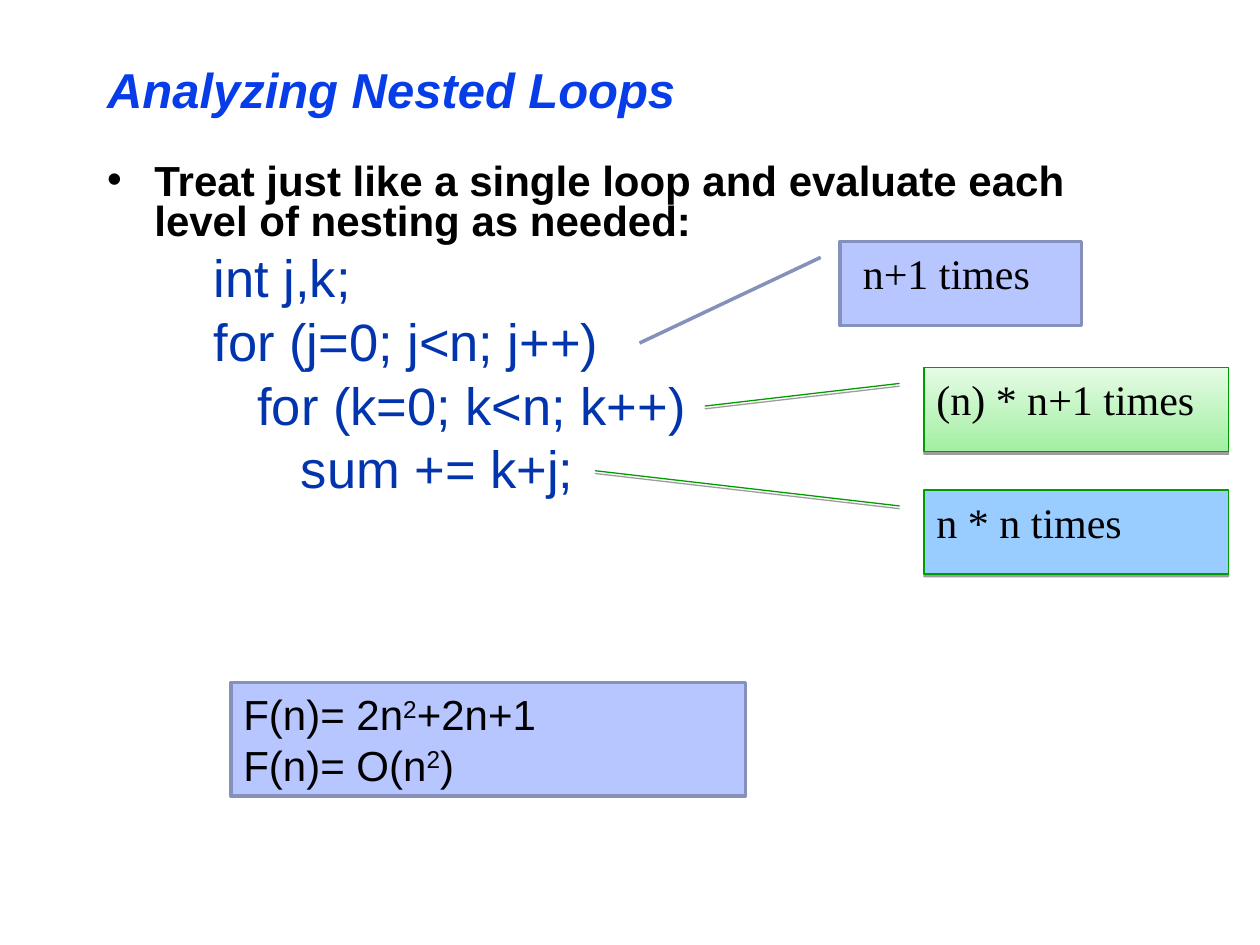
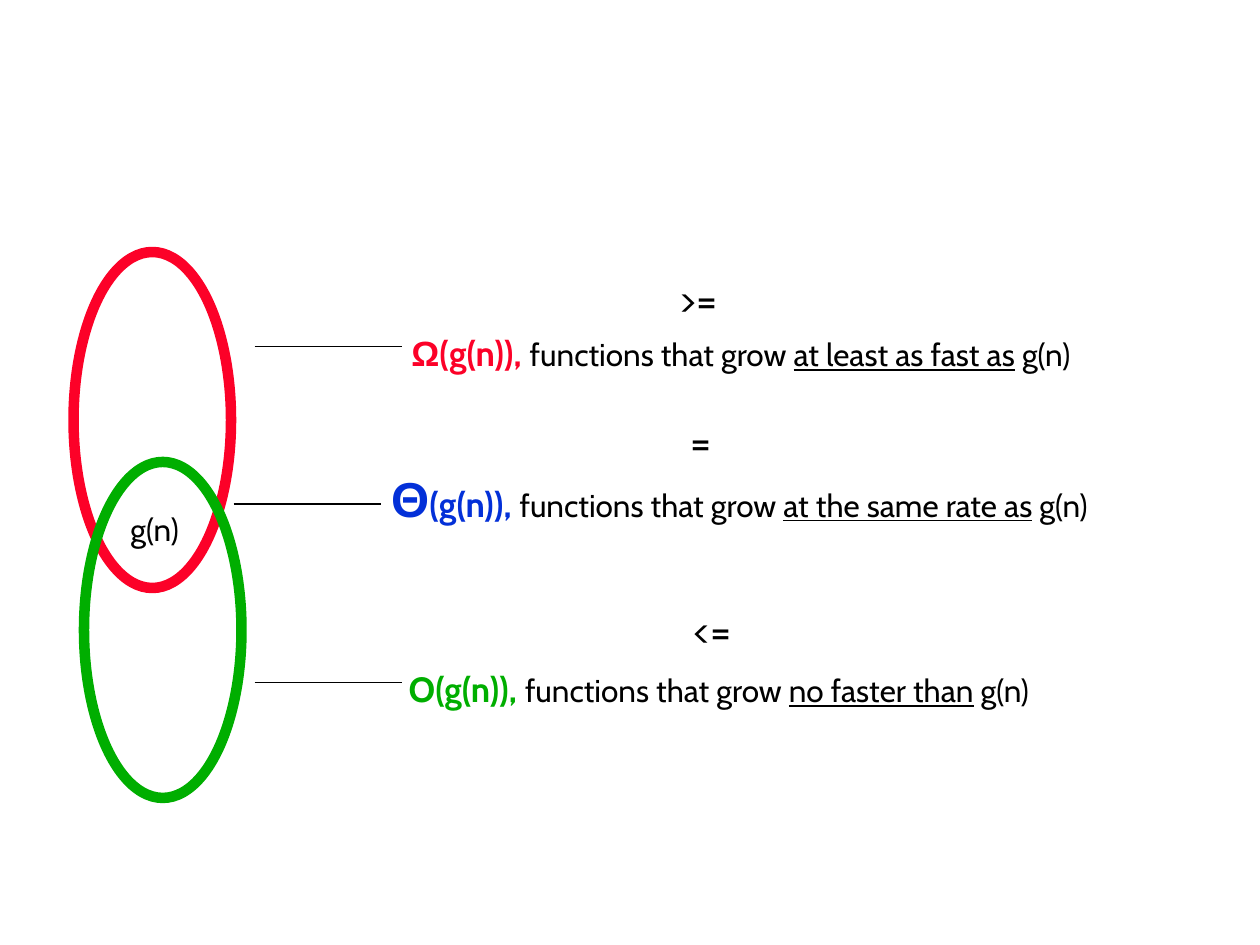
import pptx
import pptx.dml.color
import pptx.enum.shapes
import pptx.enum.text
import pptx.oxml
import pptx.oxml.ns
import pptx.util

Pt = pptx.util.Pt
Shape = pptx.enum.shapes.MSO_SHAPE
Anchor = pptx.enum.text.MSO_ANCHOR
Align = pptx.enum.text.PP_ALIGN
A = 'xmlns:a="http://schemas.openxmlformats.org/drawingml/2006/main"'

COLORS = {
    "black": "000000", "title": "063DE8", "code": "0235AD",
    "lilac": "B7C6FE", "lilac edge": "8691BB", "sky": "99CCFF",
    "green edge": "009D00", "mint": "A2EFA2", "pale mint": "E6FBE6",
    "red": "FC0128", "green": "00AE00", "blue": "0330D8",
}

# Text formats
TITLE = dict(name="Arial", size=28, color="title", bold=True, italic=True)
LEAD = dict(name="Arial", size=24, color="black", bold=True)
CODE = dict(name="Arial", size=30, color="code", bold=False)
COUNT = dict(name="Times New Roman", size=24, color="black")
RESULT = dict(name="Arial", size=24, color="black")
POWER = dict(RESULT, raised=True)
PLAIN = dict(name="Cabin", size=18, color="black")
UNDERLINED = dict(PLAIN, underline=True)
SIGN = dict(PLAIN, size=24)

# Content of the nested loops slide
HEADING = "Analyzing Nested Loops"
ADVICE = "Treat just like a single loop and evaluate each level of nesting as needed:"
CODE_LINES = [
    "   int j,k;",
    "   for (j=0; j<n; j++)",
    "      for (k=0; k<n; k++)",
    "         sum += k+j;",
]
# text, left, top, width, fill, edge, edge width, shadowed, pointer end (y, x)
CALLOUTS = [
    (" n+1 times", 480, 138, 138, ["lilac"], "lilac edge", 2, False, (1.21, -0.83)),
    ("(n) * n+1 times", 528, 210, 174, ["mint", "pale mint"], "green edge", 0.75, True, (0.46, -0.72)),
    ("n * n times", 528, 280, 174, ["sky"], "green edge", 0.75, True, (-0.23, -1.08)),
]
CALLOUT_HEIGHT = 48
POINTER_START = (0.19, -0.08)
RESULTS = [
    [("F(n)= 2n", RESULT), ("2", POWER), ("+2n+1", RESULT)],
    [("F(n)= O(n", RESULT), ("2", POWER), (")", RESULT)],
]

# Content of the growth classes slide
RINGS = [("red", 42, 144), ("green", 48, 264)]
RING_SIZE = (90, 192)
# symbol, symbol font, symbol size, color, phrase, text box, line start, sign, sign box
CLASSES = [
    ("Ω", "Arial", 20, "red", "at least as fast as", (228, 186, 451, 32),
     (145.5, 198), ">=", (381.5, 152.5, 42, 36)),
    ("Θ", "Arial", 28, "blue", "at the same rate as", (216.5, 264, 474, 41),
     (133.5, 288), "=", (387.5, 234, 28, 36)),
    ("O", "Cabin", 20, "green", "no faster than", (226.5, 378, 426, 32),
     (145.5, 390), "<=", (389, 342, 42, 36)),
]
LEADER_LENGTH = 84


def rgb(color):
    return pptx.dml.color.RGBColor.from_string(COLORS[color])


def add_spans(para, spans):
    for text, style in spans:
        span = para.add_run()
        span.text = text
        for key, value in style.items():
            if key == "color":
                span.font.color.rgb = rgb(value)
            elif key == "raised":
                span._r.get_or_add_rPr().set("baseline", "30000")
            else:
                setattr(span.font, key, Pt(value) if key == "size" else value)


def fill_text(shape, paras, anchor=Anchor.TOP):
    frame = shape.text_frame
    settings = dict(
        word_wrap=True, vertical_anchor=anchor,
        auto_size=pptx.enum.text.MSO_AUTO_SIZE.NONE,
        margin_left=Pt(7.2), margin_right=Pt(7.2),
        margin_top=Pt(3.6), margin_bottom=Pt(3.6))
    for key, value in settings.items():
        setattr(frame, key, value)
    for index, spans in enumerate(paras):
        para = frame.add_paragraph() if index else frame.paragraphs[0]
        para.alignment = Align.LEFT
        add_spans(para, spans)
    return frame.paragraphs


def place(shape, *box):
    for key, value in zip(("left", "top", "width", "height"), box):
        setattr(shape, key, Pt(value))


def add_text(page, box, spans):
    fill_text(page.shapes.add_textbox(*map(Pt, box)), [spans])


def add_figure(page, kind, box, fills, edge, edge_width):
    shape = page.shapes.add_shape(kind, *map(Pt, box))
    shape.shadow.inherit = False
    shape.line.color.rgb = rgb(edge)
    shape.line.width = Pt(edge_width)
    if len(fills) > 1:
        shape.fill.gradient()
        shape.fill.gradient_angle = 90
        for stop, color in zip(shape.fill.gradient_stops, fills):
            stop.color.rgb = rgb(color)
    elif fills:
        shape.fill.solid()
        shape.fill.fore_color.rgb = rgb(fills[0])
    else:
        shape.fill.background()
    return shape


def add_shadow(shape):
    effects = shape._element.spPr.find(pptx.oxml.ns.qn("a:effectLst"))
    effects.append(pptx.oxml.parse_xml(
        f'<a:outerShdw {A} blurRad="0" dist="{Pt(1.6)}" dir="5400000" rotWithShape="0">'
        f'<a:srgbClr val="{COLORS["black"]}"><a:alpha val="38000"/></a:srgbClr></a:outerShdw>'))


def set_bullet(para, left, hanging, bullet):
    properties = para._p.get_or_add_pPr()
    properties.set("marL", str(Pt(left)))
    properties.set("indent", str(-Pt(hanging)))
    for element in bullet:
        properties.append(pptx.oxml.parse_xml(element))


def build_loops(deck):
    page = deck.slides.add_slide(deck.slide_layouts[1])
    title, body = page.placeholders
    place(title, 54, 24, 612, 54)
    fill_text(title, [[(HEADING, TITLE)]], Anchor.MIDDLE)

    # Advice and code
    place(body, 54, 90, 618, 432)
    lines = [[(ADVICE, LEAD)]] + [[(line, CODE)] for line in CODE_LINES]
    for index, para in enumerate(fill_text(body, lines)):
        para.line_spacing = 0.8
        para.space_before = Pt(7.5 if index else 0)
        if index:
            para.level = 1
            set_bullet(para, 58.5, 22.5, [f"<a:buNone {A}/>"])
        else:
            set_bullet(para, 27, 27, [
                f'<a:buClr {A}><a:srgbClr val="{COLORS["black"]}"/></a:buClr>',
                f'<a:buFont {A} typeface="Arial"/>', f'<a:buChar {A} char="•"/>'])

    # Callouts that count each line
    for text, left, top, width, fills, edge, edge_width, shadowed, end in CALLOUTS:
        box = (left, top, width, CALLOUT_HEIGHT)
        callout = add_figure(page, Shape.LINE_CALLOUT_1, box, fills, edge, edge_width)
        for index, value in enumerate(POINTER_START + end):
            callout.adjustments[index] = value
        if shadowed:
            add_shadow(callout)
        fill_text(callout, [[(text, COUNT)]])

    # Resulting growth
    result = add_figure(page, Shape.RECTANGLE, (132, 390, 294, 65), ["lilac"], "lilac edge", 2)
    fill_text(result, RESULTS)


def build_classes(deck):
    page = deck.slides.add_slide(deck.slide_layouts[6])
    for color, left, top in RINGS:
        add_figure(page, Shape.OVAL, (left, top, *RING_SIZE), [], color, 6)
    add_text(page, (67.5, 288, 47.5, 29), [("g(n)", PLAIN)])

    # One row for each class: leader, description and sign
    for symbol, font, size, color, phrase, box, (x, y), sign, sign_box in CLASSES:
        strong = dict(name="Cabin", size=20, color=color, bold=True)
        add_text(page, box, [
            (symbol, dict(strong, name=font, size=size)), ("(g(n)), ", strong),
            ("functions that grow ", PLAIN), (phrase, UNDERLINED), (" g(n)", PLAIN)])
        leader = page.shapes.add_connector(
            pptx.enum.shapes.MSO_CONNECTOR.STRAIGHT, Pt(x), Pt(y), Pt(x + LEADER_LENGTH), Pt(y))
        leader.line.color.rgb = rgb("black")
        leader.line.width = Pt(0.75)
        leader._element.spPr.append(pptx.oxml.parse_xml(f"<a:effectLst {A}/>"))
        add_text(page, sign_box, [(sign, SIGN)])


def main():
    deck = pptx.Presentation()
    deck.slide_width, deck.slide_height = Pt(720), Pt(540)
    build_loops(deck)
    build_classes(deck)
    deck.save("out.pptx")


if __name__ == "__main__":
    main()
